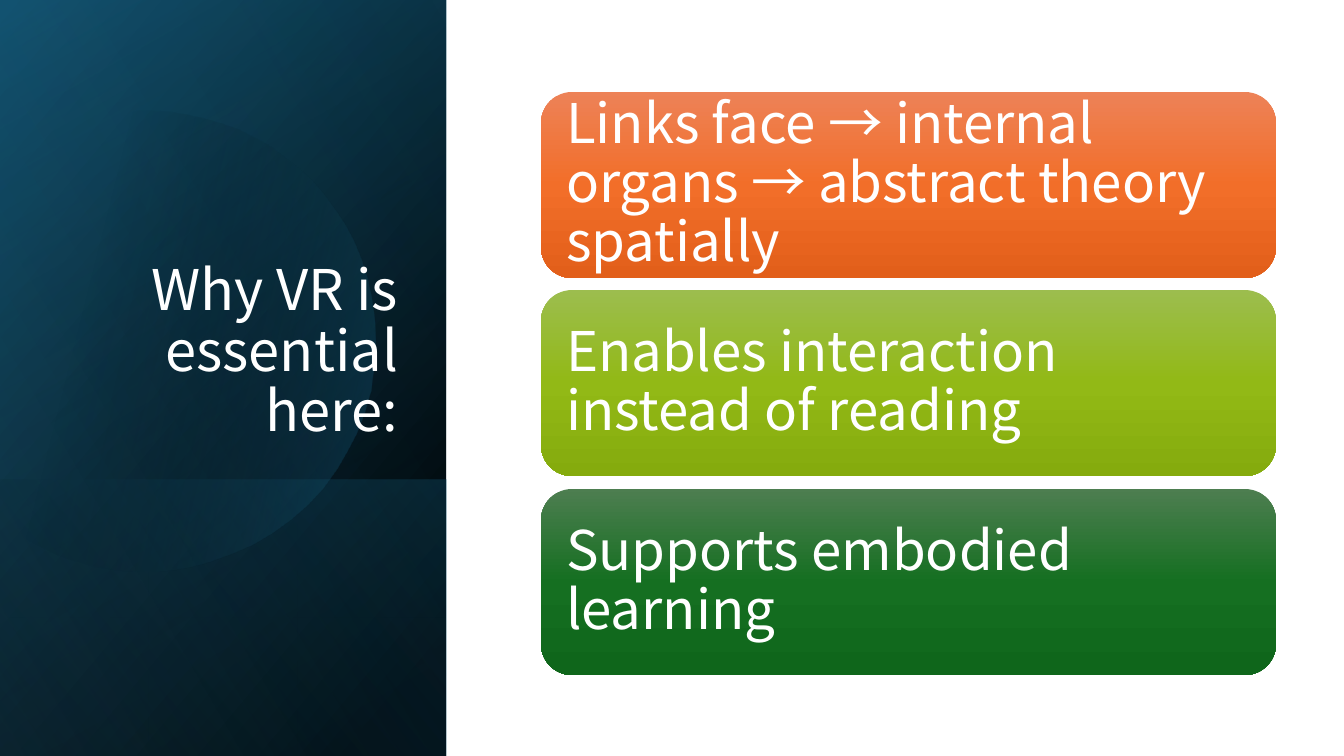
from lxml import etree
from pptx import Presentation
from pptx.dml.color import RGBColor
from pptx.enum.shapes import MSO_SHAPE as SHAPE
from pptx.enum.text import MSO_ANCHOR as ANCHOR, MSO_AUTO_SIZE as AUTO, PP_ALIGN as ALIGN
from pptx.oxml.ns import qn
from pptx.util import Pt

# Content
TITLE = "Why VR is essential here:"
CARDS = [
    ("Links face → internal organs → abstract theory spatially",
     [(0, "ED8257"), (50, "F26E29"), (100, "E25F1A")]),
    ("Enables interaction instead of reading",
     [(0, "9CBD4E"), (50, "92B916"), (100, "85AB0D")]),
    ("Supports embodied learning",
     [(0, "4D7E50"), (50, "156F21"), (100, "0F661B")]),
]

# Side panel layers: top, height, angle, stops (position, colour, opacity)
BASE_LAYERS = [
    (0, 756, 50, [(8, "000000"), (100, "104862")]),
    (0, 756, 30, [(0, "000000", 0), (99, "156082", 46)]),
    (480, 276, 130, [(2, "156082", 29), (100, "000000", 30)]),
]
SHEEN_LAYER = (0, 756, 120, [(0, "000000", 0), (99, "46B1E1", 11)])

# Disc outline: start, curves (two handles and an end), closing lines
DISC_START = (150, 111)
DISC_RIGHT = [
    ((248, 113), (338, 178), (366, 277)),
    ((401, 400), (331, 527), (209, 562)),
    ((132, 585), (53, 566), (-3, 518)),
]
DISC_LEFT = [(-15, 507), (-15, 176), (0, 162)]
DISC_TOP = [
    ((23, 143), (50, 129), (81, 120)),
    ((104, 114), (127, 111), (150, 111)),
]
DISC_STOPS = [(29, "000000", 0), (100, "156082", 43)]

FONT = "Noto Sans CJK SC"
WHITE = "FFFFFF"
SLIDE_W, SLIDE_H, PANEL_W = 1344, 756, 446
CARD_X, CARD_Y, CARD_W, CARD_H, CARD_SPAN = 541, 92, 735, 186, 397
CURVE_STEPS = 16


def px(n):
    return round(n * 12192000 / SLIDE_W)


def color(value):
    return RGBColor.from_string(value)


def gradient(sp, stops, angle):
    sp.shadow.inherit = False
    sp.line.fill.background()
    sp.fill.background()
    grad = etree.Element(qn("a:gradFill"), rotWithShape="1")
    gs_list = etree.SubElement(grad, qn("a:gsLst"))
    for pos, value, *opacity in stops:
        gs = etree.SubElement(gs_list, qn("a:gs"), pos=str(pos * 1000))
        clr = etree.SubElement(gs, qn("a:srgbClr"), val=value)
        for percent in opacity:
            etree.SubElement(clr, qn("a:alpha"), val=str(percent * 1000))
    etree.SubElement(grad, qn("a:lin"), ang=str(angle * 60000), scaled="0")
    sp_pr = sp._element.spPr
    sp_pr.replace(sp_pr.find(qn("a:noFill")), grad)


def panel_layer(top, height, angle, stops):
    # The layer is turned by 90 degrees about its centre
    left = (PANEL_W - height) / 2
    y = top + (height - PANEL_W) / 2
    sp = shapes.add_shape(SHAPE.RECTANGLE, px(left), px(y), px(height), px(PANEL_W))
    sp.rotation = 90
    sp._element.spPr.find(qn("a:xfrm")).set("flipH", "1")
    gradient(sp, stops, angle)


def curve_points(start, curves):
    points = []
    for a, b, end in curves:
        for i in range(1, CURVE_STEPS + 1):
            t = i / CURVE_STEPS
            u = 1 - t
            points.append(tuple(
                u**3 * s + 3 * u * u * t * m + 3 * u * t * t * n + t**3 * e
                for s, m, n, e in zip(start, a, b, end)))
        start = end
    return points


def write(sp, text, size, align, anchor):
    tf = sp.text_frame
    tf.word_wrap = True
    tf.auto_size = AUTO.NONE
    tf.vertical_anchor = anchor
    p = tf.paragraphs[0]
    p.text = text
    p.alignment = align
    p.line_spacing = 0.9
    p.space_before = Pt(0)
    p.font.size = Pt(size)
    p.font.name = FONT
    p.font.color.rgb = color(WHITE)
    return tf


prs = Presentation()
prs.slide_width, prs.slide_height = px(SLIDE_W), px(SLIDE_H)
slide = prs.slides.add_slide(prs.slide_layouts[5])
shapes = slide.shapes

# Side panel
for layer in BASE_LAYERS:
    panel_layer(*layer)
outline = (curve_points(DISC_START, DISC_RIGHT) + DISC_LEFT
           + curve_points(DISC_LEFT[-1], DISC_TOP))
builder = shapes.build_freeform(*DISC_START, scale=px(1000) / 1000)
builder.add_line_segments(outline, close=True)
gradient(builder.convert_to_shape(), DISC_STOPS, 14)
panel_layer(*SHEEN_LAYER)

# Title, brought in front of the panel
title = shapes.title
title.left, title.top, title.width, title.height = map(px, (64, 185, 344, 264))
write(title, TITLE, 40, ALIGN.RIGHT, ANCHOR.BOTTOM)
shapes._spTree.append(title._element)

# Cards, spread evenly over the span
for i, (text, stops) in enumerate(CARDS):
    y = CARD_Y + i * CARD_SPAN // (len(CARDS) - 1)
    sp = shapes.add_shape(SHAPE.ROUNDED_RECTANGLE,
                          px(CARD_X), px(y), px(CARD_W), px(CARD_H))
    gradient(sp, stops, 90)
    tf = write(sp, text, 39, ALIGN.LEFT, ANCHOR.MIDDLE)
    tf.margin_left = tf.margin_right = tf.margin_top = tf.margin_bottom = px(16)

prs.save("out.pptx")
